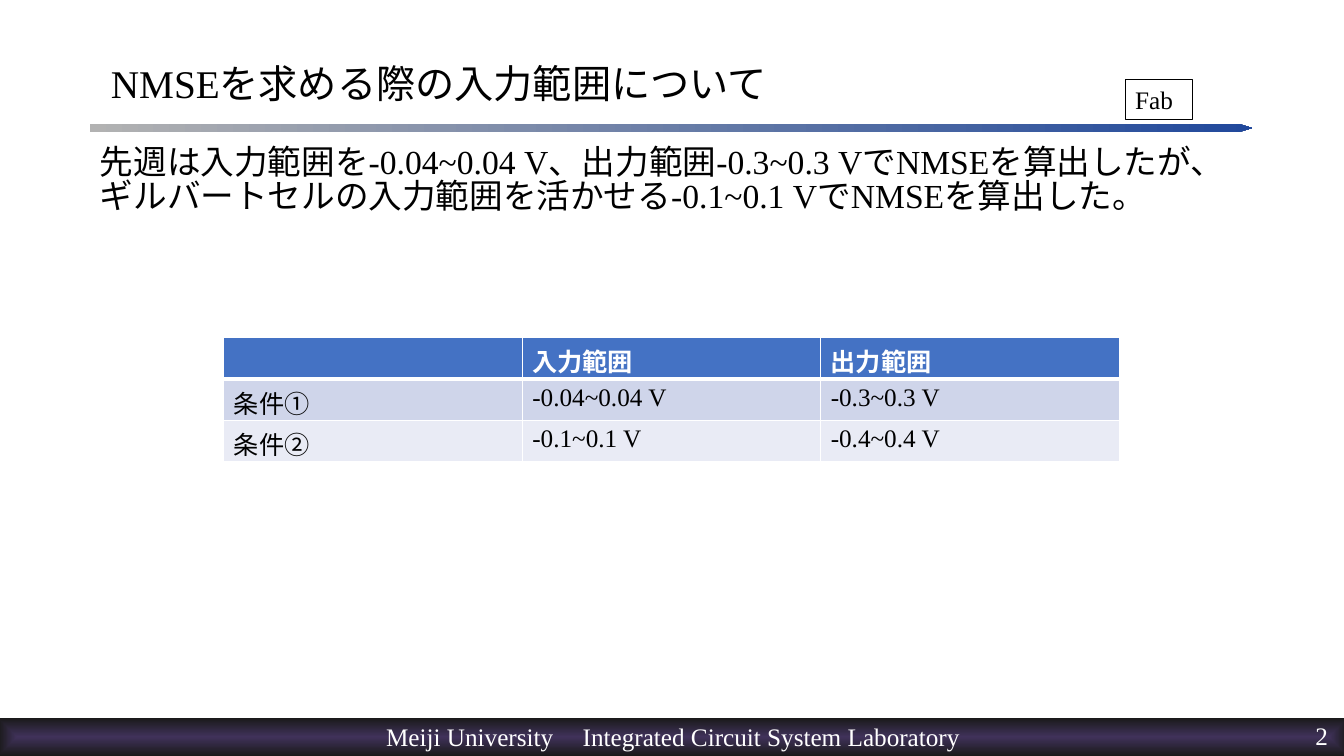
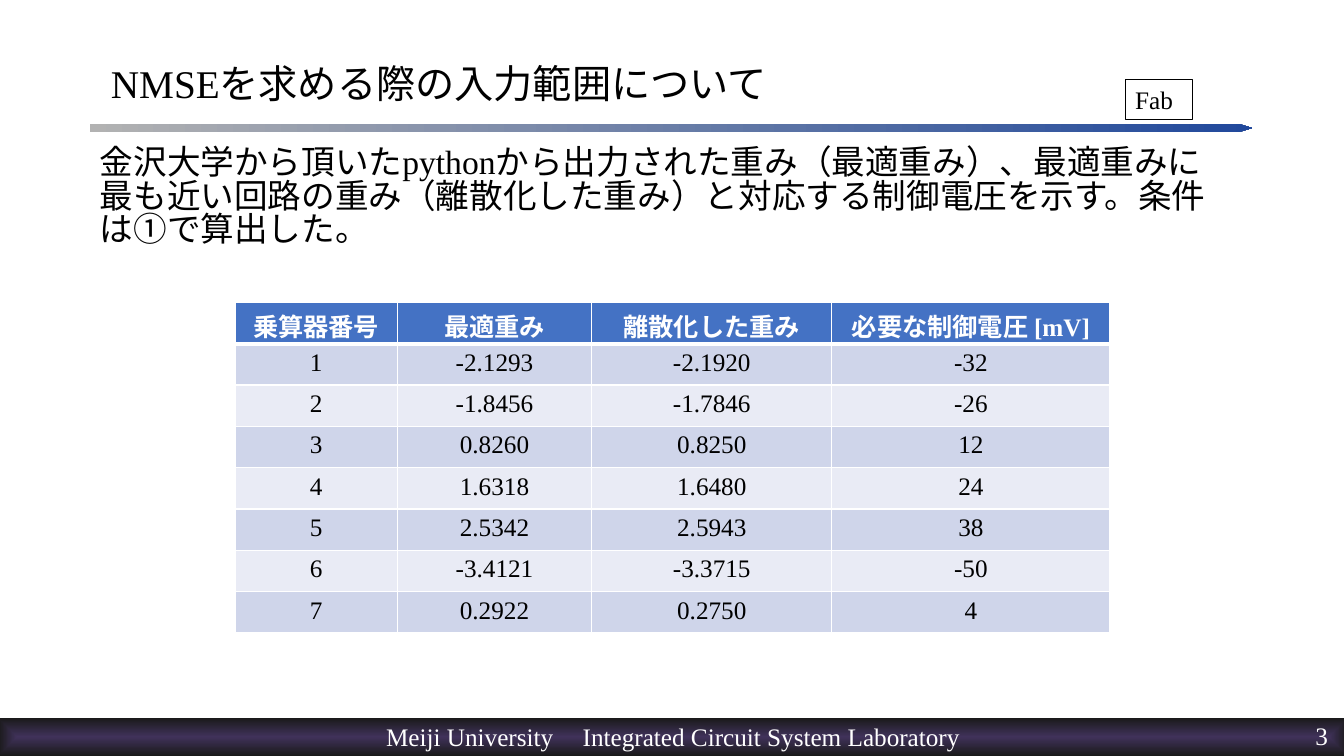
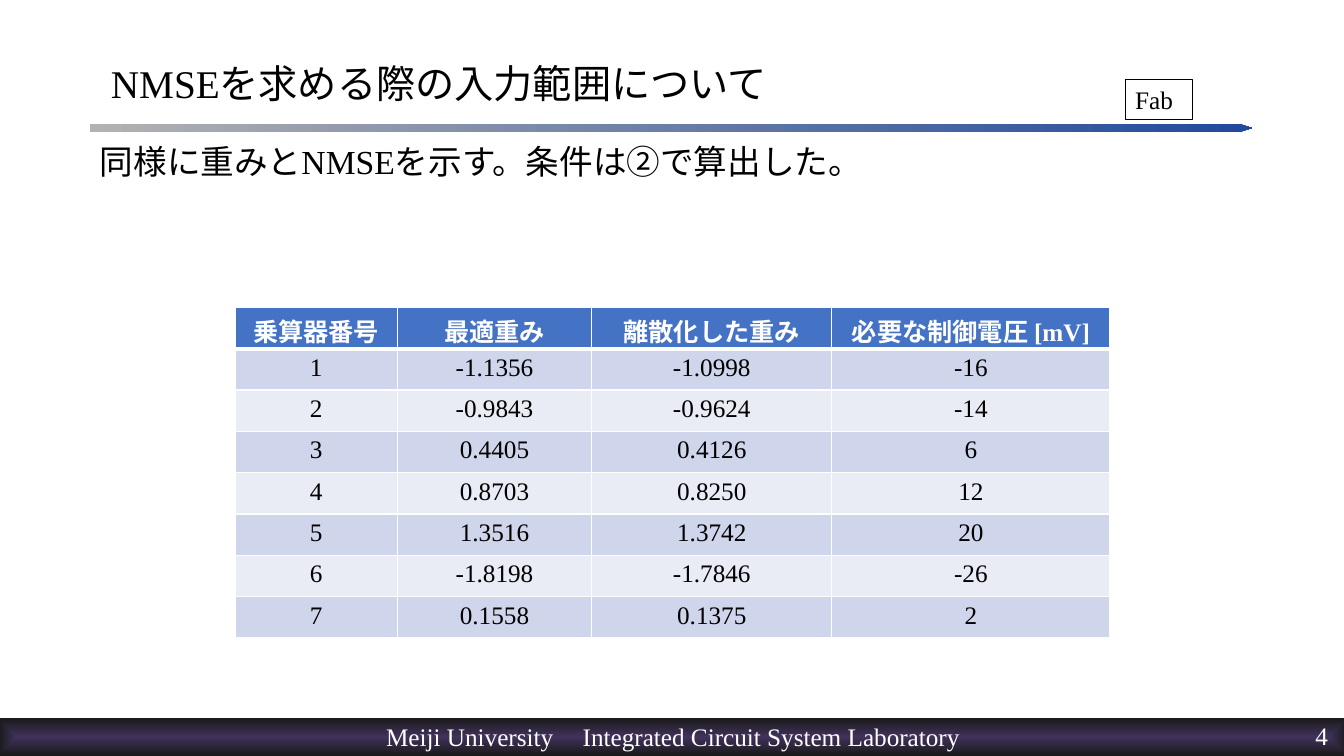
from pptx import Presentation
from pptx.dml.color import RGBColor
from pptx.enum.lang import MSO_LANGUAGE_ID
from pptx.enum.shapes import MSO_SHAPE
from pptx.enum.text import MSO_ANCHOR, MSO_AUTO_SIZE, PP_ALIGN
from pptx.oxml import parse_xml
from pptx.oxml.ns import nsdecls, qn
from pptx.util import Inches, Pt

FONT = "Times New Roman"
COLORS = {
    "text": "000000",
    "white": "FFFFFF",
    "head": "4472C4",
    "odd": "CFD5EA",
    "even": "E9EBF5",
    "rule_start": "B2B2B2",
    "rule_end": "21499C",
    "band_core": "40325A",
    "band_edge": "191919",
}
TITLE = "NMSEを求める際の入力範囲について"
HEADS = ["乗算器番号", "最適重み", "離散化した重み", "必要な制御電圧 [mV]"]
WIDTHS = [1.61, 1.93, 2.38, 2.76]
ROW = 0.41

RANGES = [
    ["", "入力範囲", "出力範囲"],
    ["条件①", "-0.04~0.04 V", "-0.3~0.3 V"],
    ["条件②", "-0.1~0.1 V", "-0.4~0.4 V"],
]
FIRST = [
    ["-2.1293", "-2.1920", "-32"],
    ["-1.8456", "-1.7846", "-26"],
    ["0.8260", "0.8250", "12"],
    ["1.6318", "1.6480", "24"],
    ["2.5342", "2.5943", "38"],
    ["-3.4121", "-3.3715", "-50"],
    ["0.2922", "0.2750", "4"],
]
SECOND = [
    ["-1.1356", "-1.0998", "-16"],
    ["-0.9843", "-0.9624", "-14"],
    ["0.4405", "0.4126", "6"],
    ["0.8703", "0.8250", "12"],
    ["1.3516", "1.3742", "20"],
    ["-1.8198", "-1.7846", "-26"],
    ["0.1558", "0.1375", "2"],
]


def rgb(name):
    return RGBColor.from_string(COLORS[name])


def box(*sizes):
    return [Inches(size) for size in sizes]


def write(frame, text, size=18, color="text", bold=False,
          align=PP_ALIGN.LEFT, spacing=None):
    para = frame.paragraphs[0]
    para.alignment = align
    para.line_spacing = spacing
    run = para.add_run()
    run.text = text
    font = run.font
    font.name, font.size, font.bold = FONT, Pt(size), bold
    font.color.rgb = rgb(color)
    font.language_id = MSO_LANGUAGE_ID.JAPANESE
    return para


def place(shape, left, top, width, height):
    shape.left, shape.top, shape.width, shape.height = box(
        left, top, width, height)


def add_band(slide, area, point, start, end):
    """Add a pentagon bar with a left-to-right gradient."""
    band = slide.shapes.add_shape(MSO_SHAPE.PENTAGON, *box(*area))
    band.adjustments[0] = point
    band.shadow.inherit = False
    band.line.fill.background()
    band.fill.gradient()
    band.fill.gradient_angle = 0
    for stop, name in zip(band.fill.gradient_stops, (start, end)):
        stop.color.rgb = rgb(name)
    return band


def set_glow(band):
    """Turn the gradient of a band into one that spreads from its centre."""
    line = band.element.spPr.find(qn("a:gradFill")).find(qn("a:lin"))
    line.getparent().replace(line, parse_xml(
        f'<a:path {nsdecls("a")} path="shape"><a:fillToRect '
        'l="50000" t="50000" r="50000" b="50000"/></a:path>'))


def set_layout(layout, slide):
    """Put the rule, the footer and the placeholder areas on the layout."""
    for holder in list(layout.placeholders):
        index = holder.placeholder_format.idx
        if index == 0:
            place(holder, 1, 0.29, 11.3, 1.06)
        elif index == 1:
            place(holder, 0.89, 1.42, 11.41, 5.23)
        else:
            holder.element.getparent().remove(holder.element)

    rule = add_band(slide, (0.89, 1.23, 11.53, 0.08), 1.69,
                    "rule_start", "rule_end")
    foot = add_band(slide, (-0.02, 7.12, 13.39, 0.38), 0,
                    "band_core", "band_edge")
    set_glow(foot)
    frame = foot.text_frame
    frame.word_wrap = False
    frame.vertical_anchor = MSO_ANCHOR.MIDDLE
    para = write(frame, "Meiji University\tIntegrated Circuit System Laboratory",
                 color="white", align=PP_ALIGN.CENTER)
    props = para._p.get_or_add_pPr()
    props.append(parse_xml(
        f'<a:tabLst {nsdecls("a")}><a:tab pos="{Inches(1.95)}" algn="l"/>'
        '</a:tabLst>'))
    for shape in (rule, foot):
        layout.shapes.element.append(shape.element)


def add_title(slide):
    frame = slide.shapes.title.text_frame
    frame.auto_size = MSO_AUTO_SIZE.NONE
    frame.vertical_anchor = MSO_ANCHOR.MIDDLE
    write(frame, TITLE, size=28)


def add_body(slide, text):
    frame = slide.placeholders[1].text_frame
    frame.auto_size = MSO_AUTO_SIZE.NONE
    para = write(frame, text, size=24, spacing=0.83)
    para.space_before = Pt(0)
    props = para._p.get_or_add_pPr()
    props.set("marL", "0")
    props.set("indent", "0")
    props.append(parse_xml(f'<a:buNone {nsdecls("a")}/>'))


def add_number(slide, number):
    label = slide.shapes.add_textbox(*box(9.75, 7.15, 3.42, 0.35))
    frame = label.text_frame
    frame.word_wrap = True
    frame.margin_left = frame.margin_right = 0
    frame.margin_top = frame.margin_bottom = 0
    write(frame, str(number), color="white", align=PP_ALIGN.RIGHT)


def add_tag(slide, text):
    tag = slide.shapes.add_shape(MSO_SHAPE.RECTANGLE,
                                 *box(11.16, 0.79, 0.67, 0.4))
    tag.shadow.inherit = False
    tag.fill.background()
    tag.line.color.rgb = rgb("text")
    tag.line.width = Pt(0.75)
    tag.text_frame.vertical_anchor = MSO_ANCHOR.TOP
    tag.text_frame.auto_size = MSO_AUTO_SIZE.SHAPE_TO_FIT_TEXT
    write(tag.text_frame, text)


def set_edges(cell, **widths):
    """Draw white cell borders; widths are points by side L, R, T, B."""
    props = cell._tc.get_or_add_tcPr()
    for place_no, side in enumerate("LRTB"):
        width = Pt(widths.get(side, 1))
        props.insert(place_no, parse_xml(
            f'<a:ln{side} {nsdecls("a")} w="{width}"><a:solidFill>'
            f'<a:srgbClr val="{COLORS["white"]}"/></a:solidFill></a:ln{side}>'))


def add_grid(slide, left, top, widths, rows, align):
    grid = slide.shapes.add_table(
        len(rows), len(widths),
        *box(left, top, sum(widths), ROW * len(rows))).table
    for column, width in zip(grid.columns, widths):
        column.width = Inches(width)
    for r, values in enumerate(rows):
        grid.rows[r].height = Inches(ROW)
        head = r == 0
        fill = "head" if head else ("odd" if r % 2 else "even")
        for c, value in enumerate(values):
            cell = grid.cell(r, c)
            cell.fill.solid()
            cell.fill.fore_color.rgb = rgb(fill)
            set_edges(cell, T=3 if r == 1 else 1, B=3 if head else 1)
            if value:
                write(cell.text_frame, value, bold=head, align=align,
                      color="white" if head else "text")


def add_weights(slide, top, values):
    rows = [[str(n), *row] for n, row in enumerate(values, 1)]
    add_grid(slide, 2.33, top, WIDTHS, [HEADS, *rows], PP_ALIGN.CENTER)


def main():
    deck = Presentation()
    deck.slide_width, deck.slide_height = box(13.33, 7.5)
    layout = deck.slide_layouts[1]
    texts = [
        "先週は入力範囲を-0.04~0.04 V、出力範囲-0.3~0.3 VでNMSEを算出したが、"
        "ギルバートセルの入力範囲を活かせる-0.1~0.1 VでNMSEを算出した。",
        "金沢大学から頂いたpythonから出力された重み（最適重み）、最適重みに"
        "最も近い回路の重み（離散化した重み）と対応する制御電圧を示す。"
        "条件は①で算出した。",
        "同様に重みとNMSEを示す。条件は②で算出した。",
    ]
    slides = [deck.slides.add_slide(layout) for _ in texts]
    set_layout(layout, slides[0])
    for number, (slide, text) in enumerate(zip(slides, texts), 2):
        add_title(slide)
        add_body(slide, text)
        add_number(slide, number)
        add_tag(slide, "Fab")

    add_grid(slides[0], 2.22, 3.35, [2.96] * 3, RANGES, PP_ALIGN.LEFT)
    add_weights(slides[1], 3, FIRST)
    add_weights(slides[2], 3.05, SECOND)
    deck.save("out.pptx")


if __name__ == "__main__":
    main()
